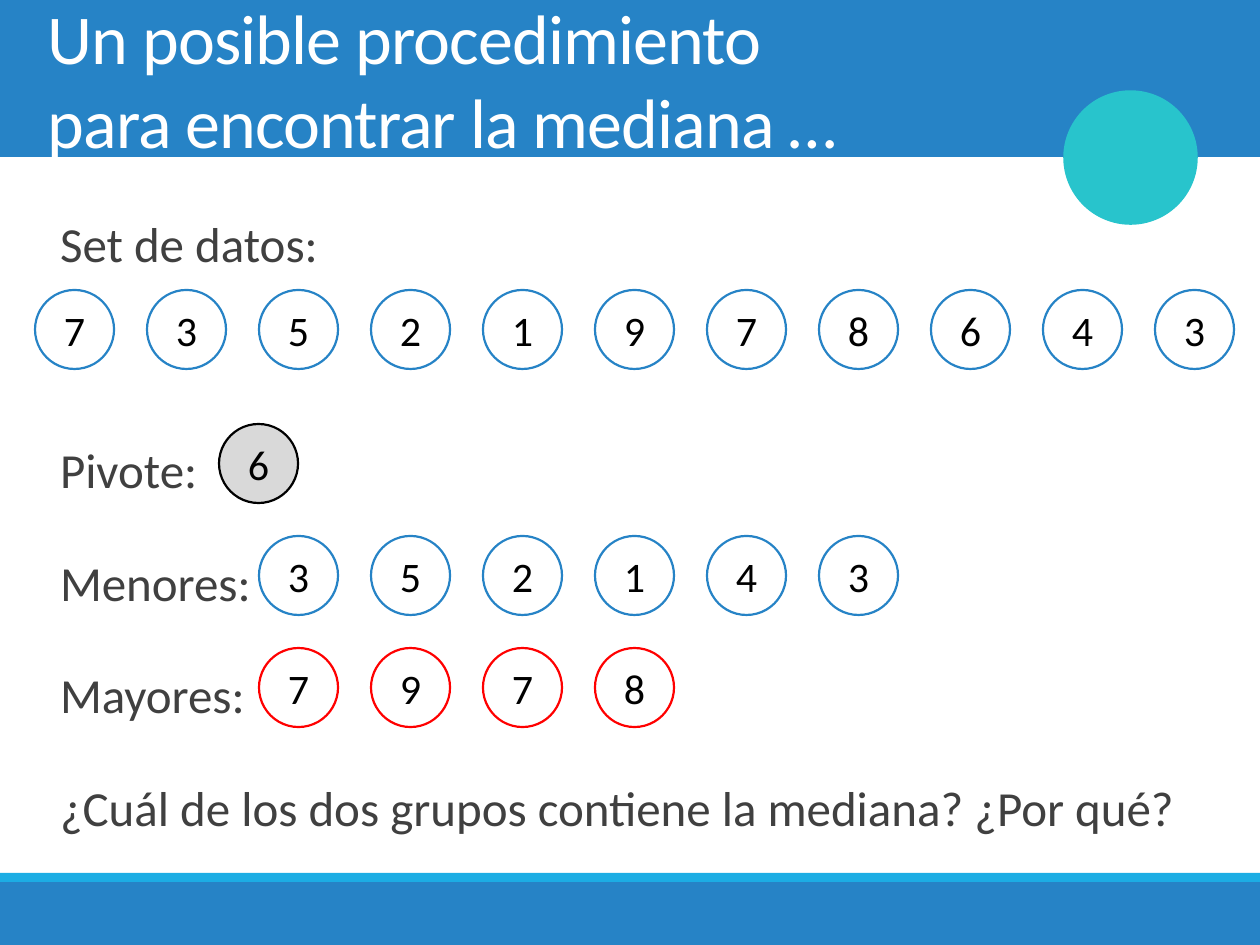
from pptx import Presentation
from pptx.dml.color import RGBColor
from pptx.enum.shapes import MSO_SHAPE as SHAPE
from pptx.enum.text import MSO_ANCHOR as ANCHOR, MSO_AUTO_SIZE as AUTO, PP_ALIGN as ALIGN
from pptx.util import Pt

PX = 914400 // 126
COLORS = {
    "blue": "2683C6", "sky": "1CADE4", "teal": "28C4CC", "white": "FFFFFF",
    "gray": "D9D9D9", "red": "FF0000", "black": "000000", "text": "404040",
}


def rgb(color):
    return RGBColor.from_string(COLORS[color])


def add_figure(kind, box, fill, line=None, width=1.25):
    figure = slide.shapes.add_shape(kind, *[n * PX for n in box])
    figure.shadow.inherit = False
    figure.fill.solid()
    figure.fill.fore_color.rgb = rgb(fill)
    if line:
        figure.line.color.rgb = rgb(line)
        figure.line.width = Pt(width)
    else:
        figure.line.fill.background()
    return figure


prs = Presentation()
prs.slide_width, prs.slide_height = 1260 * PX, 945 * PX
slide = prs.slides.add_slide(prs.slide_layouts[5])

# Header and footer bands, accent circle
add_figure(SHAPE.RECTANGLE, (0, 0, 1260, 157), "blue")
add_figure(SHAPE.RECTANGLE, (0, 882, 1260, 63), "blue")
add_figure(SHAPE.RECTANGLE, (0, 873, 1260, 9), "sky")
add_figure(SHAPE.OVAL, (1065, 92, 131, 131), "teal", "teal", 2)

# Title, brought in front of the header band
title = slide.shapes.title
slide.shapes._spTree.append(title._element)
title_box = {"left": 35, "top": 0, "width": 1191, "height": 157}
for side, length in title_box.items():
    setattr(title, side, length * PX)
title.text = "Un posible procedimiento\vpara encontrar la mediana …"
title_frame = {"word_wrap": True, "auto_size": AUTO.NONE, "vertical_anchor": ANCHOR.MIDDLE}
for key, value in title_frame.items():
    setattr(title.text_frame, key, value)
heading = title.text_frame.paragraphs[0]
heading.alignment = ALIGN.LEFT
for run in heading.runs:
    run.font.name, run.font.size = "Calibri", Pt(40)
    run.font.color.rgb = rgb("white")
    run._r.get_or_add_rPr().set("spc", "-50")

# Numbered circles: digits, left, top, fill, outline
STEP, DIAMETER = 112, 79
number_rows = [
    ("73521978643", 35, 290, "white", "blue"),
    ("6", 219, 424, "gray", "black"),
    ("352143", 259, 536, "white", "blue"),
    ("7978", 259, 648, "white", "red"),
]
for digits, left, top, fill, outline in number_rows:
    for i, digit in enumerate(digits):
        circle = add_figure(SHAPE.OVAL, (left + i * STEP, top, DIAMETER, DIAMETER), fill, outline)
        circle.text_frame.text = digit
        circle.text_frame.vertical_anchor = ANCHOR.MIDDLE
        number = circle.text_frame.paragraphs[0]
        number.alignment = ALIGN.CENTER
        number.font.name, number.font.size = "Calibri", Pt(24)
        number.font.color.rgb = rgb("black")

# Row labels and closing question; a wide gap leaves room for the data row
labels = [
    ("Set de datos:", 12),
    ("Pivote:", 76.5),
    ("Menores:", 12),
    ("Mayores:", 12),
    ("¿Cuál de los dos grupos contiene la mediana? ¿Por qué?", 12),
]
body = slide.shapes.add_textbox(35 * PX, 178 * PX, 1191 * PX, 675 * PX).text_frame
body.word_wrap = True
body.margin_left = 25 * PX
for i, (label, gap) in enumerate(labels):
    paragraph = body.add_paragraph() if i else body.paragraphs[0]
    paragraph.text = label
    spacing = {"line_spacing": 1.5, "space_before": Pt(gap), "space_after": Pt(2)}
    for key, value in spacing.items():
        setattr(paragraph, key, value)
    paragraph.font.name, paragraph.font.size = "Calibri", Pt(28)
    paragraph.font.color.rgb = rgb("text")

prs.save("out.pptx")
